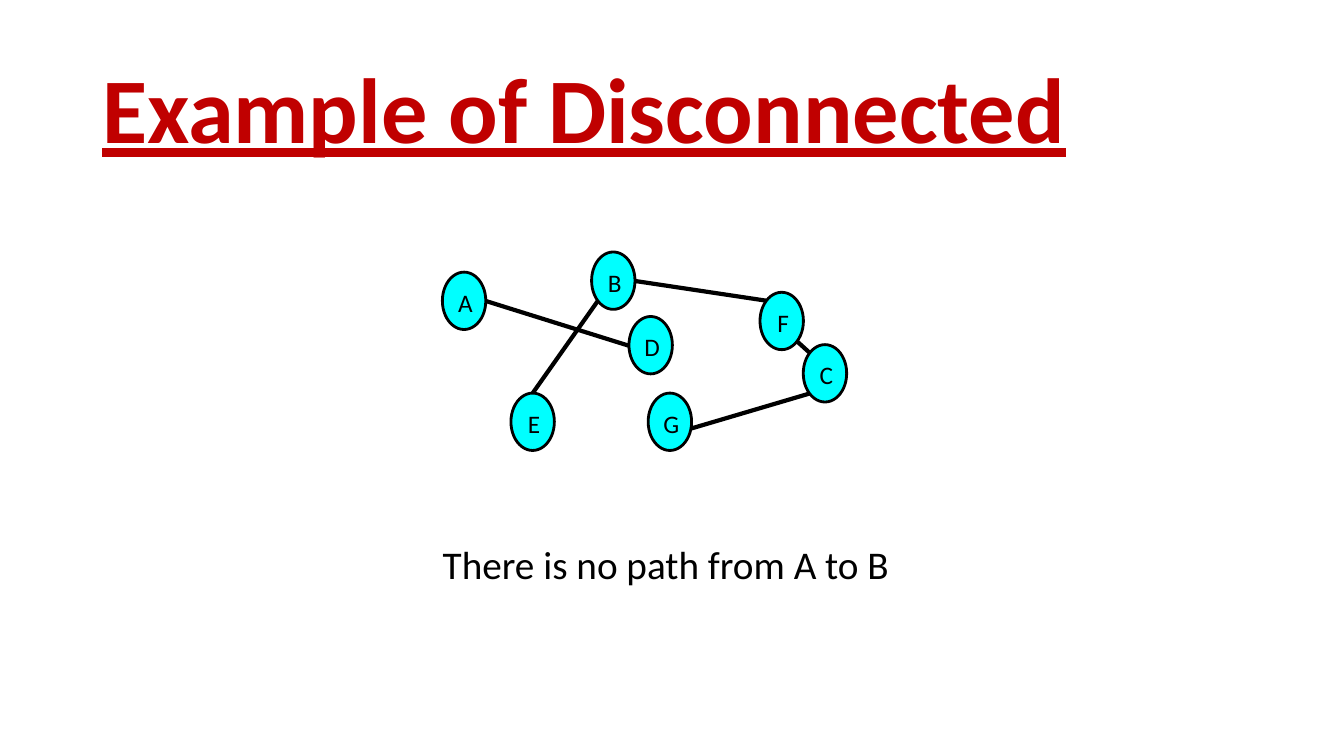
"""Build a slide showing a disconnected graph in which A cannot reach B."""
from pptx import Presentation
from pptx.dml.color import RGBColor
from pptx.enum.shapes import MSO_CONNECTOR, MSO_SHAPE
from pptx.enum.text import MSO_ANCHOR as Anchor, PP_ALIGN as Align
from pptx.oxml.ns import qn
from pptx.util import Pt
from lxml.etree import SubElement

RED = RGBColor(0xC0, 0x00, 0x00)
CYAN = RGBColor(0x00, 0xFF, 0xFF)
BLACK = RGBColor(0x00, 0x00, 0x00)
NODE_WIDTH, NODE_HEIGHT = 31, 41


def write_text(shape, text, color, align, anchor, **font_format):
    frame = shape.text_frame
    frame.vertical_anchor = anchor
    paragraph = frame.paragraphs[0]
    paragraph.text = text
    paragraph.alignment = align
    paragraph.font.color.rgb = color
    for name, value in {"name": "Calibri", **font_format}.items():
        setattr(paragraph.font, name, value)
    return frame


presentation = Presentation()
presentation.slide_width = Pt(960)
presentation.slide_height = Pt(540)
slide = presentation.slides.add_slide(presentation.slide_layouts[6])

title = slide.shapes.add_textbox(Pt(66), Pt(28.8), Pt(828), Pt(104.4))
caption = slide.shapes.add_textbox(Pt(66), Pt(386), Pt(819), Pt(148))
text_frames = [
    write_text(title, "Example of Disconnected", RED, Align.LEFT, Anchor.MIDDLE,
               size=Pt(66), bold=True, underline=True),
    write_text(caption, "There is no path from A to B", BLACK, Align.CENTER, Anchor.TOP,
               size=Pt(28)),
]
for frame in text_frames:
    frame.word_wrap = True
    frame.paragraphs[0].line_spacing = 0.9

nodes = {
    "B": (422.6, 180),
    "C": (573.8, 246.2),
    "D": (449.3, 226.1),
    "E": (365, 280.8),
    "F": (542.9, 208.8),
    "G": (463, 280.8),
    "A": (316, 194.4),
}
for letter, (left, top) in nodes.items():
    node = slide.shapes.add_shape(
        MSO_SHAPE.OVAL, Pt(left), Pt(top), Pt(NODE_WIDTH), Pt(NODE_HEIGHT))
    node.shadow.inherit = False
    node.fill.solid()
    node.fill.fore_color.rgb = CYAN
    node.line.color.rgb = BLACK
    node.line.width = Pt(2)
    frame = write_text(node, letter, BLACK, Align.CENTER, Anchor.MIDDLE, size=Pt(18))
    frame.word_wrap = False
    margins = {"margin_left": 2, "margin_right": 0, "margin_top": 2, "margin_bottom": 0}
    for side, margin in margins.items():
        setattr(frame, side, Pt(margin))

edges = [
    (347, 215, 449.3, 247),
    (427, 215, 380.5, 280.8),
    (453.6, 200.7, 547.4, 214.8),
    (569.4, 243.9, 578.6, 252.2),
    (578.6, 281, 494, 306),
]
for edge in edges:
    connector = slide.shapes.add_connector(
        MSO_CONNECTOR.STRAIGHT, *[Pt(value) for value in edge])
    connector.line.color.rgb = BLACK
    connector.line.width = Pt(3)
    SubElement(connector._element.spPr, qn("a:effectLst"))

presentation.save("out.pptx")
